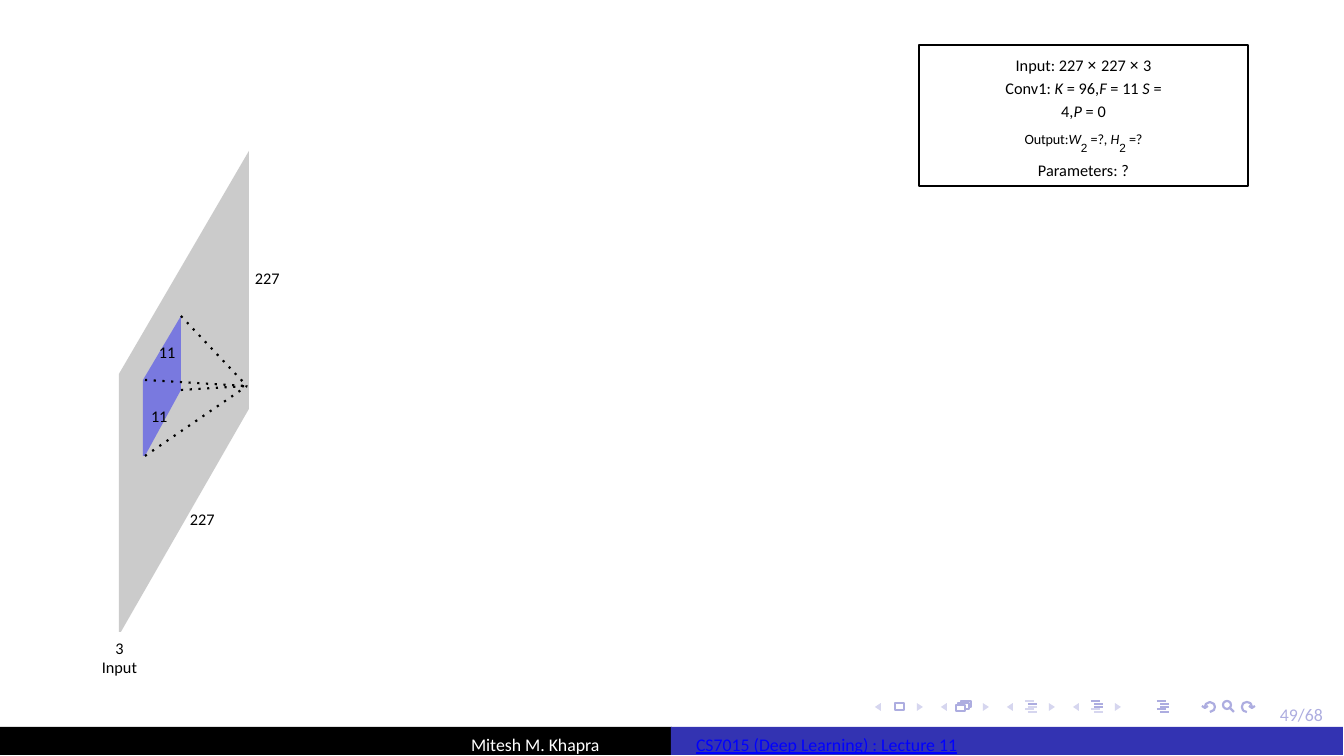
from dataclasses import dataclass
from math import cos, radians, sin

from lxml.etree import SubElement
from pptx import Presentation
from pptx.dml.color import RGBColor
from pptx.enum.shapes import MSO_CONNECTOR as Conn, MSO_SHAPE as Geo
from pptx.enum.text import MSO_ANCHOR as Anchor, PP_ALIGN as Align
from pptx.oxml.ns import qn
from pptx.util import Pt

PX = 4293
Point = tuple[float, float]


@dataclass(frozen=True)
class Theme:
    ink: str = "000000"
    paper: str = "FFFFFF"
    slab: str = "7F7F7F"
    blue: str = "0000FF"
    bar: str = "3333B2"
    nav: str = "ADADE0"
    nav_pale: str = "D6D6EF"
    font: str = "Calibri"
    math_font: str = "Noto Sans"
    sub_font: str = "Arial"
    body: float = 5.5
    raised: float = 8.2
    sub: float = 4
    foot: float = 6
    stroke: float = 0.75


T = Theme()


@dataclass(frozen=True)
class Label:
    x: int
    y: int
    w: int
    lines: tuple[str, ...]
    size: float = T.body
    color: str = T.ink
    align: Align = Align.LEFT
    spacing: float = 1.0
    underline: bool = False


@dataclass(frozen=True)
class Slab:
    points: tuple[Point, ...]
    color: str


@dataclass(frozen=True)
class Bars:
    x: int
    rows: tuple[int, ...]
    color: str


LABELS = (
    Label(255, 268, 30, ("227",)),
    Label(190, 509, 30, ("227",)),
    Label(159, 342, 20, ("11",)),
    Label(151, 406, 20, ("11",)),
    Label(96, 635, 47, ("3", "Input"), align=Align.CENTER, spacing=1.15),
    Label(1280, 701, 60, ("49/68",), T.foot, T.nav, spacing=1.12),
    Label(471, 731, 180, ("Mitesh M. Khapra",), T.foot, T.paper, spacing=1.12),
    Label(696, 731, 362, ("CS7015 (Deep Learning) : Lecture 11",), T.foot, T.blue,
          spacing=1.12, underline=True),
)
INPUT = Slab(((249, 151), (119, 374), (119, 632), (121, 632), (249, 409)), T.slab)
FILTER = Slab(((181, 316), (143, 380), (143, 456), (145, 456), (181, 390)), T.blue)
RAY_STARTS = ((145, 380), (181, 316), (145, 456), (181, 390))
RAY_END = (247, 386)
BARS = (
    Bars(1025, (1,), T.nav),
    Bars(1025, (0, 2, 3, 4), T.nav_pale),
    Bars(1091, (0, 1, 2), T.nav),
    Bars(1091, (3, 4), T.nav_pale),
    Bars(1157, (0, 1, 2, 3, 4), T.nav),
)
BAR_YS = (701, 704, 707, 709, 712)
STACK = (
    (956, 711), (965, 711), (965, 705), (956, 705), (956, 711),
), (
    (958, 705), (958, 703), (969, 703), (969, 709), (965, 709),
), (
    (961, 703), (961, 701), (971, 701), (971, 707), (969, 707),
)
MIRROR = 2457


def rgb(color: str) -> RGBColor:
    return RGBColor.from_string(color)


def paint(sp, fill: str | None = None, line: str | None = None, alpha: int = 100):
    sp.shadow.inherit = False
    if fill:
        sp.fill.solid()
        sp.fill.fore_color.rgb = rgb(fill)
        if alpha < 100:
            clr = sp._element.spPr.find(qn("a:solidFill"))[0]
            SubElement(clr, qn("a:alpha"), val=str(alpha * 1000))
    else:
        sp.fill.background()
    if line:
        sp.line.color.rgb = rgb(line)
        sp.line.width = Pt(T.stroke)
    else:
        sp.line.fill.background()
    return sp


def shape(slide, geo: Geo, x: int, y: int, w: int, h: int, **style):
    return paint(slide.shapes.add_shape(geo, x * PX, y * PX, w * PX, h * PX), **style)


def outline(slide, *paths: tuple[Point, ...], close: bool = False, **style):
    first, *rest = paths
    fb = slide.shapes.build_freeform(*first[0], scale=PX)
    fb.add_line_segments(first[1:], close=close)
    for path in rest:
        fb.move_to(*path[0])
        fb.add_line_segments(path[1:], close=close)
    return paint(fb.convert_to_shape(), **style)


def line(slide, a: Point, b: Point, color: str, dotted: bool = False) -> None:
    sp = slide.shapes.add_connector(Conn.STRAIGHT, *(v * PX for v in a + b))
    sp.line.color.rgb = rgb(color)
    sp.line.width = Pt(T.stroke)
    spPr = sp._element.spPr
    if dotted:
        SubElement(spPr.find(qn("a:ln")), qn("a:prstDash"), val="dot")
    SubElement(spPr, qn("a:effectLst"))


def write(p, text: str, *, size: float = T.body, font: str = T.font, color: str = T.ink,
          italic: bool = False, underline: bool = False, raised: int = 0) -> None:
    r = p.add_run()
    r.text = text
    f = r.font
    f.size, f.name, f.italic, f.underline = Pt(size), font, italic, underline
    f.color.rgb = rgb(color)
    if raised:
        r._r.get_or_add_rPr().set("baseline", str(raised * 1000))


def frame(sp, top: int = 0):
    tf = sp.text_frame
    tf.word_wrap = True
    tf.vertical_anchor = Anchor.TOP
    tf.margin_left = tf.margin_right = tf.margin_bottom = 0
    tf.margin_top = top * PX
    return tf


def label(slide, item: Label) -> None:
    sp = slide.shapes.add_textbox(item.x * PX, item.y * PX, item.w * PX,
                                  24 * len(item.lines) * PX)
    tf = frame(sp)
    for i, text in enumerate(item.lines):
        p = tf.add_paragraph() if i else tf.paragraphs[0]
        p.alignment = item.align
        p.line_spacing = 1.0 if i else item.spacing
        write(p, text, size=item.size, color=item.color, underline=item.underline)


def navigation(slide) -> None:
    shape(slide, Geo.RECTANGLE, 895, 703, 9, 7, line=T.nav)
    for x in range(875, 1074, 66):
        outline(slide, ((x + 6, 703), (x, 707), (x + 6, 711)),
                ((x + 42, 703), (x + 42, 711), (x + 48, 707)),
                close=True, fill=T.nav_pale)
    outline(slide, *STACK, line=T.nav)
    for bars in BARS:
        for row in bars.rows:
            x = bars.x + (0 if row in (0, 3) else 3)
            line(slide, (x, BAR_YS[row]), (x + 9, BAR_YS[row]), bars.color)
    shape(slide, Geo.OVAL, 1223, 701, 8, 8, line=T.nav)
    line(slide, (1229, 707), (1234, 712), T.nav)
    arc = tuple((round(1210 + 5 * cos(radians(a)), 2), round(707 - 5 * sin(radians(a)), 2))
                for a in range(-90, 181, 30))
    undo = (arc, ((1208, 706), (1205, 708), (1202, 706)))
    redo = tuple(tuple((MIRROR - x, y) for x, y in path) for path in undo)
    outline(slide, *undo, *redo, line=T.nav)


def question_box(slide) -> None:
    tf = frame(shape(slide, Geo.RECTANGLE, 919, 45, 329, 141, line=T.ink), top=6)
    p = tf.paragraphs[0]
    p.line_spacing = 1.2
    for text, font in (("Input: 227 ", T.font), ("× ", T.math_font), ("227 ", T.font),
                       ("× ", T.math_font), ("3", T.font)):
        write(p, text, font=font)
    p.add_line_break()
    for text in ("Conv1: ", "K ", "= 96,", "F ", "= 11 ", "S ", "="):
        write(p, text, italic=text in ("K ", "F ", "S "))
    p.add_line_break()
    for text in ("4,", "P ", "= 0"):
        write(p, text, italic=text == "P ")
    out = tf.add_paragraph()
    out.space_before = Pt(2.2)
    write(out, "Output:", size=T.raised, raised=30)
    for text in ("W", ", H"):
        write(out, text, size=T.raised, raised=30, italic=True)
        write(out, "2 ", size=T.sub, font=T.sub_font)
        write(out, "=?", size=T.raised, raised=30)
    last = tf.add_paragraph()
    last.space_before = Pt(1.1)
    write(last, "Parameters: ?")
    for p in tf.paragraphs:
        p.alignment = Align.CENTER


def main() -> None:
    prs = Presentation()
    prs.slide_width, prs.slide_height = 1344 * PX, 756 * PX
    slide = prs.slides.add_slide(prs.slide_layouts[6])
    navigation(slide)
    for slab in (INPUT, FILTER):
        outline(slide, slab.points, close=True, fill=slab.color, alpha=40)
    for start in RAY_STARTS:
        line(slide, start, RAY_END, T.ink, dotted=True)
    question_box(slide)
    for x, color in ((0, T.ink), (671, T.bar)):
        shape(slide, Geo.RECTANGLE, x, 727, 672, 28, fill=color)
    for item in LABELS:
        label(slide, item)
    prs.save("out.pptx")


if __name__ == "__main__":
    main()
